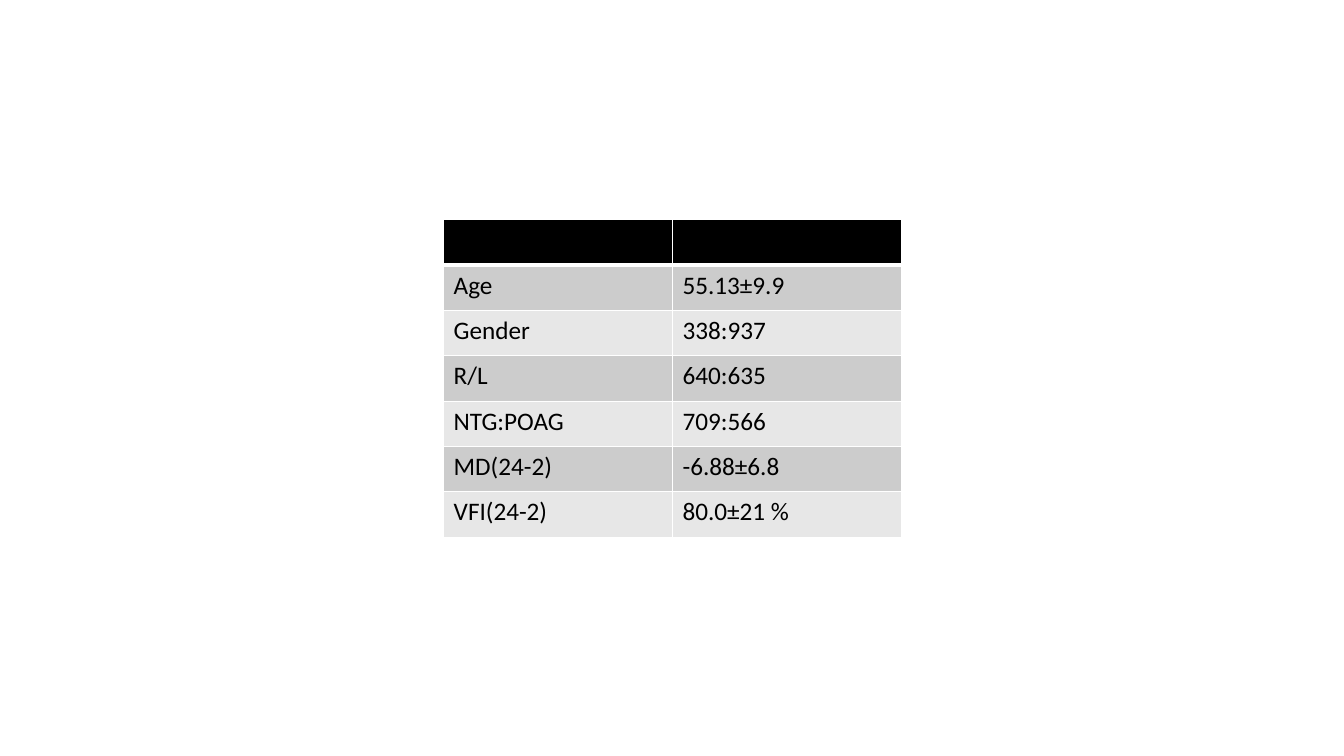
from lxml.etree import SubElement
from pptx import Presentation
from pptx.dml.color import RGBColor
from pptx.oxml.ns import qn
from pptx.util import Inches, Pt

ROWS = [
    ("", ""),
    ("Age", "55.13±9.9"),
    ("Gender", "338:937"),
    ("R/L", "640:635"),
    ("NTG:POAG", "709:566"),
    ("MD(24-2)", "-6.88±6.8"),
    ("VFI(24-2)", "80.0±21 %"),
]
HEADER_FILL = "000000"
BAND_FILLS = ("CCCCCC", "E7E7E7")
TEXT_COLOR = "000000"
BORDER_COLOR = "FFFFFF"
THIN, THICK = 0.96, 3
LEFT, TOP = 4.4, 2.18
COLUMN_WIDTH, ROW_HEIGHT = 2.27, 0.45


def rgb(color):
    return RGBColor.from_string(color)


def add_borders(cell, top, bottom):
    """Draw all four cell borders; call before filling, as the schema puts lines first."""
    properties = cell._tc.get_or_add_tcPr()
    for side, width in (("L", THIN), ("R", THIN), ("T", top), ("B", bottom)):
        line = SubElement(properties, qn(f"a:ln{side}"), w=str(Pt(width)))
        fill = SubElement(line, qn("a:solidFill"))
        SubElement(fill, qn("a:srgbClr"), val=BORDER_COLOR)


def fill_cell(cell, text, row):
    add_borders(cell, THICK if row == 1 else THIN, THICK if row == 0 else THIN)
    cell.fill.solid()
    cell.fill.fore_color.rgb = rgb(BAND_FILLS[(row - 1) % 2] if row else HEADER_FILL)
    cell.text_frame.text = text
    for run in cell.text_frame.paragraphs[0].runs:
        run.font.name = "Calibri"
        run.font.size = Pt(18)
        run.font.color.rgb = rgb(TEXT_COLOR)


def main():
    presentation = Presentation()
    presentation.slide_width = Inches(13.33)
    presentation.slide_height = Inches(7.5)
    slide = presentation.slides.add_slide(presentation.slide_layouts[6])

    column_count = len(ROWS[0])
    characteristics = slide.shapes.add_table(
        len(ROWS), column_count, Inches(LEFT), Inches(TOP),
        Inches(COLUMN_WIDTH * column_count), Inches(ROW_HEIGHT * len(ROWS)),
    ).table
    for row, texts in enumerate(ROWS):
        for column, text in enumerate(texts):
            fill_cell(characteristics.cell(row, column), text, row)

    presentation.save("out.pptx")


if __name__ == "__main__":
    main()
